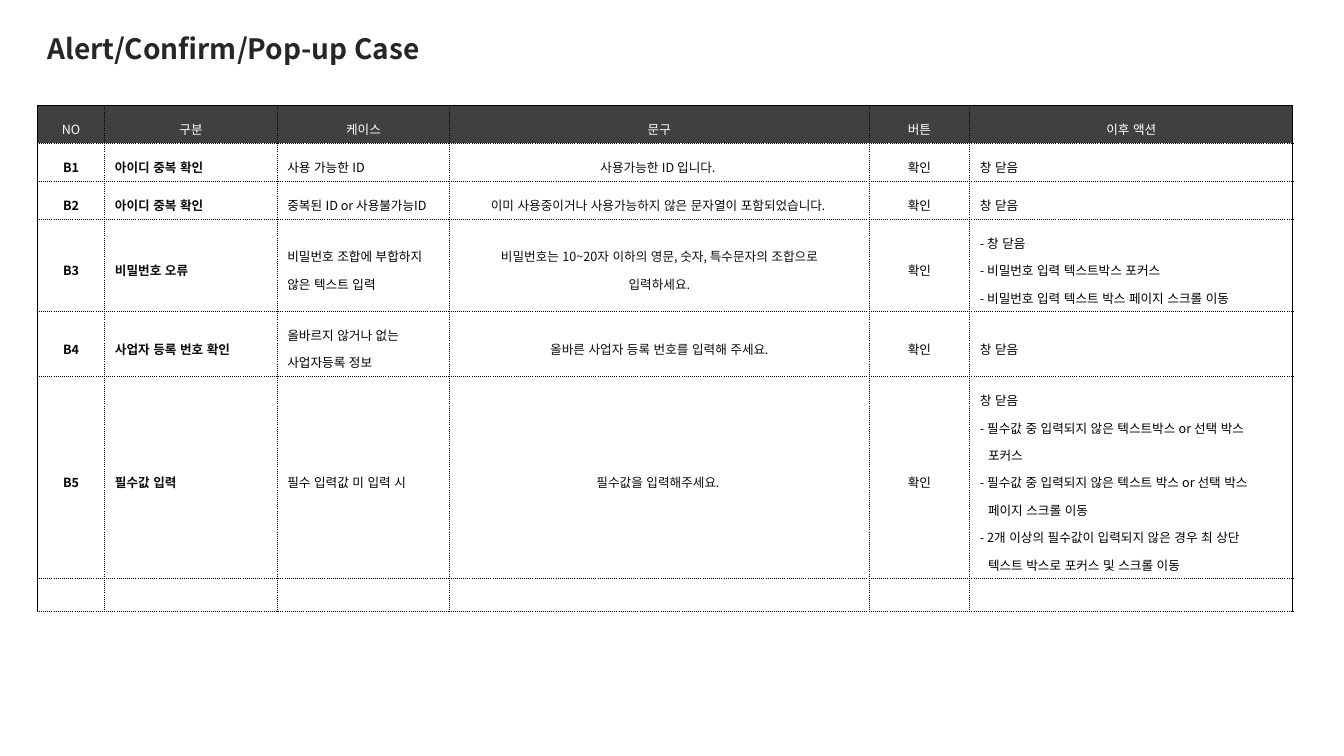
from dataclasses import astuple, dataclass

from lxml import etree
from pptx import Presentation
from pptx.dml.color import RGBColor
from pptx.enum.lang import MSO_LANGUAGE_ID
from pptx.enum.text import MSO_ANCHOR, PP_ALIGN
from pptx.oxml.ns import qn
from pptx.util import Inches, Pt

LEFT, CENTER = PP_ALIGN.LEFT, PP_ALIGN.CENTER
MIDDLE = MSO_ANCHOR.MIDDLE
KOREAN = MSO_LANGUAGE_ID.KOREAN

BLACK = RGBColor(0x00, 0x00, 0x00)
WHITE = RGBColor(0xFF, 0xFF, 0xFF)
NEAR_BLACK = RGBColor(0x0D, 0x0D, 0x0D)
TITLE_GRAY = RGBColor(0x26, 0x26, 0x26)
HEADER_GRAY = RGBColor(0x40, 0x40, 0x40)

FONT = "Noto Sans CJK KR"
TABLE_SIZE = Pt(9)
MARGIN_LEFT = Inches(0.37)
DASH_INDENT = Inches(0.08)
ROW_HEIGHTS = [0.37, 0.38, 0.38, 0.91, 0.65, 2.0, 0.33]


@dataclass(frozen=True)
class Column:
    heading: str
    width: float
    align: PP_ALIGN
    color: RGBColor = BLACK
    bold: bool = False


@dataclass(frozen=True)
class AlertCase:
    number: str = ""
    category: str = ""
    situation: str = ""
    message: str = ""
    button: str = ""
    next_action: str = ""


COLUMNS = [
    Column("NO", 0.67, CENTER, bold=True),
    Column("구분", 1.71, LEFT, NEAR_BLACK, bold=True),
    Column("케이스", 1.71, LEFT),
    Column("문구", 4.16, CENTER, NEAR_BLACK),
    Column("버튼", 1, CENTER),
    Column("이후 액션", 3.2, LEFT),
]

# \n starts a paragraph, \v is a line break inside one.
CASES = [
    AlertCase("B1", "아이디 중복 확인", "사용 가능한 ID",
              "사용가능한 ID 입니다. ", "확인", "창 닫음"),
    AlertCase("B2", "아이디 중복 확인", "중복된 ID or 사용불가능ID",
              "이미 사용중이거나 사용가능하지 않은 문자열이 포함되었습니다. ",
              "확인", "창 닫음"),
    AlertCase("B3", "비밀번호 오류", "비밀번호 조합에 부합하지 않은 텍스트 입력",
              "비밀번호는 10~20자 이하의 영문, 숫자, 특수문자의 조합으로\v입력하세요.",
              "확인",
              "- 창 닫음\n"
              "- 비밀번호 입력 텍스트박스 포커스\n"
              "- 비밀번호 입력 텍스트 박스 페이지 스크롤 이동"),
    AlertCase("B4", "사업자 등록 번호 확인", "올바르지 않거나 없는 사업자등록 정보",
              "올바른 사업자 등록 번호를 입력해 주세요.", "확인", "창 닫음"),
    AlertCase("B5", "필수값 입력", "필수 입력값 미 입력 시",
              "필수값을 입력해주세요. ", "확인",
              "창 닫음\n"
              "- 필수값 중 입력되지 않은 텍스트박스 or 선택 박스\v포커스\n"
              "- 필수값 중 입력되지 않은 텍스트 박스 or 선택 박스\v페이지 스크롤 이동\n"
              "- 2개 이상의 필수값이 입력되지 않은 경우 최 상단\v"
              "텍스트 박스로 포커스 및 스크롤 이동"),
    AlertCase(),
]


def format_runs(paragraph, size: Pt, color: RGBColor, bold: bool) -> None:
    for run in paragraph.runs:
        run.font.size = size
        run.font.bold = bold
        run.font.name = FONT
        run.font.language_id = KOREAN
        run.font.color.rgb = color
        east_asian = etree.SubElement(run.font._element, qn("a:ea"))
        east_asian.set("typeface", FONT)


def hang_after_dash(paragraph) -> None:
    properties = paragraph._p.get_or_add_pPr()
    properties.set("marL", str(DASH_INDENT))
    properties.set("indent", str(-DASH_INDENT))


def add_border(cell, side: str, solid: bool) -> None:
    """Draw one side: a 1 pt solid line or a 0.75 pt dotted one."""
    line = etree.SubElement(cell._tc.get_or_add_tcPr(), qn(f"a:ln{side}"))
    line.set("w", str(Pt(1) if solid else Pt(0.75)))
    fill = etree.SubElement(line, qn("a:solidFill"))
    etree.SubElement(fill, qn("a:srgbClr")).set("val", str(BLACK))
    dash = etree.SubElement(line, qn("a:prstDash"))
    dash.set("val", "solid" if solid else "sysDot")


def fill_cell(cell, text: str, align: PP_ALIGN, color: RGBColor,
              bold: bool, background: RGBColor) -> None:
    cell.fill.solid()
    cell.fill.fore_color.rgb = background
    cell.vertical_anchor = MIDDLE
    cell.text_frame.text = text
    for paragraph in cell.text_frame.paragraphs:
        if not text:
            end = etree.SubElement(paragraph._p, qn("a:endParaRPr"))
            end.set("sz", str(int(TABLE_SIZE.pt * 100)))
            continue
        if paragraph.text.startswith("- "):
            hang_after_dash(paragraph)
        paragraph.alignment = align
        paragraph.line_spacing = 1.5
        format_runs(paragraph, TABLE_SIZE, color, bold)


def add_title(slide) -> None:
    title = slide.shapes.add_textbox(
        MARGIN_LEFT, Inches(0.31), Inches(6.29), Inches(0.38)).text_frame
    title.word_wrap = True
    title.vertical_anchor = MIDDLE
    title.text = "Alert/Confirm/Pop-up Case"
    title.paragraphs[0].line_spacing = 0.9
    format_runs(title.paragraphs[0], Pt(20), TITLE_GRAY, True)


def add_case_table(slide) -> None:
    rows = [[column.heading for column in COLUMNS], *map(astuple, CASES)]
    table = slide.shapes.add_table(
        len(rows), len(COLUMNS), MARGIN_LEFT, Inches(1.05),
        Inches(sum(column.width for column in COLUMNS)),
        Inches(sum(ROW_HEIGHTS))).table
    table.first_row = table.horz_banding = False
    for column, grid_column in zip(COLUMNS, table.columns):
        grid_column.width = Inches(column.width)

    last = len(COLUMNS) - 1
    for r, (texts, height) in enumerate(zip(rows, ROW_HEIGHTS)):
        is_header = r == 0
        table.rows[r].height = Inches(height)
        for c, (column, text) in enumerate(zip(COLUMNS, texts)):
            cell = table.cell(r, c)
            outer = {"L": c == 0, "R": c == last, "T": is_header, "B": False}
            for side, solid in outer.items():
                add_border(cell, side, solid)
            if is_header:
                fill_cell(cell, text, CENTER, WHITE, False, HEADER_GRAY)
            else:
                fill_cell(cell, text, column.align, column.color,
                          column.bold, WHITE)


def main() -> None:
    presentation = Presentation()
    presentation.slide_width = Inches(13.33)
    presentation.slide_height = Inches(7.5)
    slide = presentation.slides.add_slide(presentation.slide_layouts[6])
    add_title(slide)
    add_case_table(slide)
    presentation.save("out.pptx")


if __name__ == "__main__":
    main()
